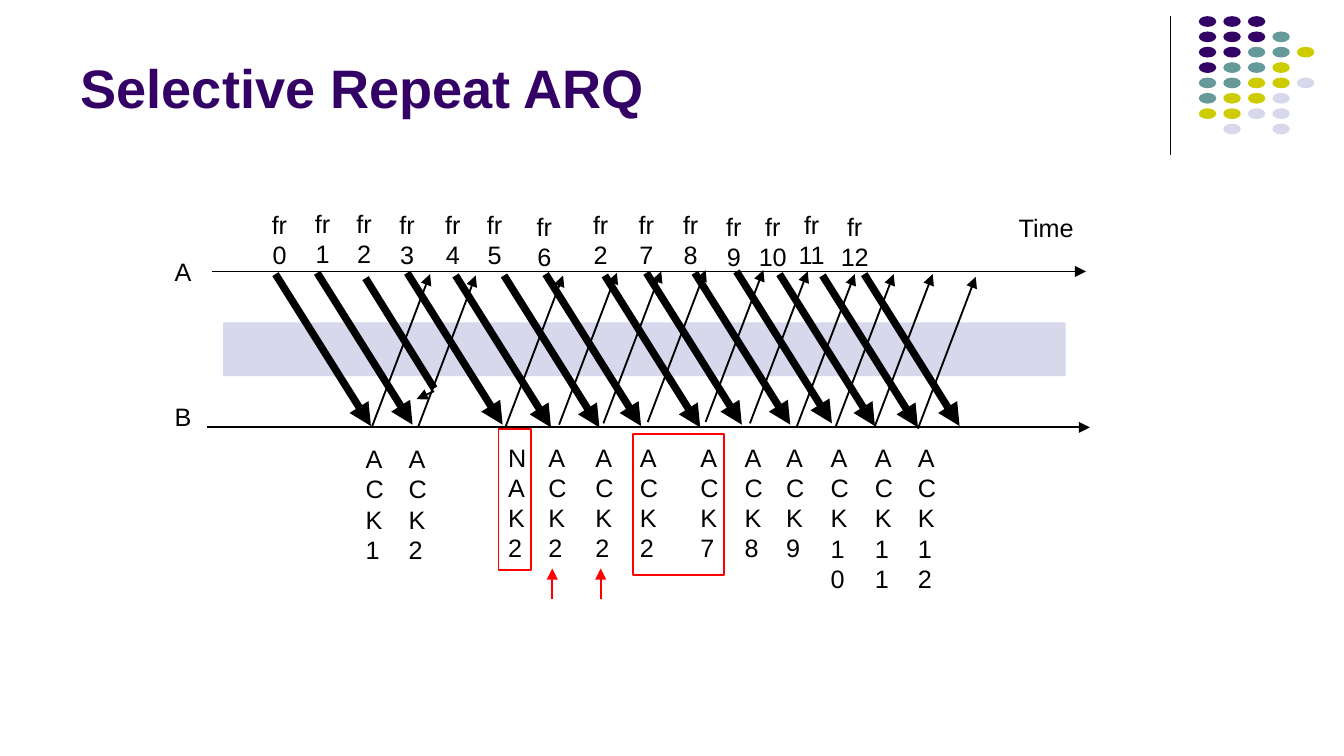
from dataclasses import dataclass
from typing import Any, NamedTuple

from lxml.etree import SubElement
from pptx import Presentation
from pptx.dml.color import RGBColor
from pptx.enum.shapes import MSO_CONNECTOR as Connector, MSO_SHAPE as Shape
from pptx.enum.text import MSO_ANCHOR as Anchor, PP_ALIGN as Align
from pptx.oxml.ns import qn
from pptx.util import Inches, Pt


@dataclass(frozen=True)
class Theme:
    font: str = "Arial"
    title_size: float = 29
    label_size: float = 13.5
    thin: float = 1
    thick: float = 4
    ink: str = "000000"
    purple: str = "330066"
    teal: str = "669999"
    yellow: str = "CCCC00"
    lavender: str = "D8D8EC"
    red: str = "FF0000"


class Point(NamedTuple):
    x: float
    y: float


class Area(NamedTuple):
    left: float
    top: float
    width: float
    height: float


class Frame(NamedTuple):
    number: int
    center: float
    top: float
    start: Point
    lost: bool = False


class Reply(NamedTuple):
    text: str
    left: float
    start: Point
    top: float = 3.25
    width: float = 0.18


THEME = Theme()
FRAME_STEP = Point(0.71, 1.13)
REPLY_STEP = Point(0.43, -1.13)
WIDE_INSETS = (0.11, 0.06)
NARROW_INSETS = (0.07, 0.04)

FRAMES = [
    Frame(0, 2.08, 1.5, Point(2.05, 2.04)),
    Frame(1, 2.4, 1.49, Point(2.36, 2.03)),
    Frame(2, 2.71, 1.49, Point(2.72, 2.07), lost=True),
    Frame(3, 3.03, 1.5, Point(3.03, 2.03)),
    Frame(4, 3.37, 1.5, Point(3.39, 2.05)),
    Frame(5, 3.68, 1.5, Point(3.75, 2.05)),
    Frame(6, 4.05, 1.51, Point(4.06, 2.04)),
    Frame(2, 4.47, 1.5, Point(4.5, 2.05)),
    Frame(7, 4.81, 1.5, Point(4.81, 2.03)),
    Frame(8, 5.14, 1.5, Point(5.17, 2.03)),
    Frame(9, 5.46, 1.51, Point(5.48, 2.02)),
    Frame(10, 5.75, 1.51, Point(5.8, 2.04)),
    Frame(11, 6.04, 1.5, Point(6.12, 2.05)),
    Frame(12, 6.36, 1.51, Point(6.43, 2.04)),
]
REPLIES = [
    Reply("ACK1", 2.65, Point(2.77, 3.17), top=3.26),
    Reply("ACK2", 2.97, Point(3.11, 3.18), top=3.26),
    Reply("NAK2", 3.71, Point(3.76, 3.18)),
    Reply("ACK2", 4.01, Point(4.16, 3.16)),
    Reply("ACK2", 4.36, Point(4.49, 3.15)),
    Reply("ACK2", 4.69, Point(4.82, 3.14)),
    Reply("ACK7", 5.14, Point(5.25, 3.14)),
    Reply("ACK8", 5.47, Point(5.58, 3.15)),
    Reply("ACK9", 5.78, Point(5.93, 3.17)),
    Reply("ACK10", 6.11, Point(6.22, 3.17), width=0.25),
    Reply("ACK11", 6.44, Point(6.51, 3.17)),
    Reply("ACK12", 6.76, Point(6.83, 3.19)),
]
DOT_ROWS = ["PPP", "PPPT", "PPTTY", "PTTY", "TTYYL", "TYYL", "YYLL", " L L"]
DOT_COLORS = {"P": THEME.purple, "T": THEME.teal, "Y": THEME.yellow, "L": THEME.lavender}


def apply_format(target: Any, values: dict[str, Any]) -> None:
    for name, value in values.items():
        setattr(target, name, value)


def format_font(font: Any, size: float, color: str, bold: bool = False) -> None:
    apply_format(font, {"name": THEME.font, "size": Pt(size), "bold": bold})
    font.color.rgb = RGBColor.from_string(color)


def shift(start: Point, step: Point) -> Point:
    return Point(start.x + step.x, start.y + step.y)


def add_line(page: Any, start: Point, end: Point, width: float = THEME.thin,
             color: str = THEME.ink, arrow: bool = True) -> None:
    line = page.shapes.add_connector(Connector.STRAIGHT, *map(Inches, (*start, *end)))
    line.line.width = Pt(width)
    line.line.color.rgb = RGBColor.from_string(color)
    if arrow:
        SubElement(line.line._get_or_add_ln(), qn("a:tailEnd"), type="triangle")
    SubElement(line._element.spPr, qn("a:effectLst"))


def add_shape(page: Any, kind: Shape, area: Area, fill: str = "", outline: str = "") -> None:
    """Draw a preset shape; an empty colour means no fill or no outline."""
    shape = page.shapes.add_shape(kind, *map(Inches, area))
    shape.shadow.inherit = False
    for paint, color in ((shape.fill, fill), (shape.line.fill, outline)):
        if color:
            paint.solid()
            paint.fore_color.rgb = RGBColor.from_string(color)
        else:
            paint.background()
    if outline:
        shape.line.width = Pt(THEME.thin)


def add_label(page: Any, area: Area, lines: list[str], align: Align = Align.LEFT,
              insets: tuple[float, float] = WIDE_INSETS) -> None:
    text_frame = page.shapes.add_textbox(*map(Inches, area)).text_frame
    side, edge = map(Inches, insets)
    apply_format(text_frame, {"word_wrap": True, "margin_left": side, "margin_right": side,
                              "margin_top": edge, "margin_bottom": edge})
    text_frame.text = "\n".join(lines)
    for para in text_frame.paragraphs:
        para.alignment = align
        format_font(para.font, THEME.label_size, THEME.ink)


def add_title(page: Any, text: str) -> None:
    title = page.shapes.title
    area = Area(0.5, 0.1, 8.25, 0.84)
    apply_format(title, dict(zip(("left", "top", "width", "height"), map(Inches, area))))
    title.text_frame.text = text
    title.text_frame.vertical_anchor = Anchor.BOTTOM
    para = title.text_frame.paragraphs[0]
    para.alignment = Align.LEFT
    format_font(para.font, THEME.title_size, THEME.purple, bold=True)


def add_corner_dots(page: Any) -> None:
    add_line(page, Point(8.71, 0.12), Point(8.71, 1.15), 0.75, arrow=False)
    for row, marks in enumerate(DOT_ROWS):
        for column, mark in enumerate(marks):
            if mark in DOT_COLORS:
                area = Area(8.92 + 0.73 * column / 4, 0.12 + 0.8 * row / 7, 0.13, 0.08)
                add_shape(page, Shape.OVAL, area, fill=DOT_COLORS[mark])


def add_frame(page: Any, frame: Frame) -> None:
    add_label(page, Area(frame.center - 0.28, frame.top, 0.56, 0.57),
              ["fr", str(frame.number)], Align.CENTER)
    if frame.lost:
        add_line(page, frame.start, Point(3.23, 2.89), THEME.thick, arrow=False)
        add_line(page, Point(3.23, 2.91), Point(3.1, 2.97))
    else:
        add_line(page, frame.start, shift(frame.start, FRAME_STEP), THEME.thick)


def add_reply(page: Any, reply: Reply) -> None:
    """Draw the returning arrow and its label, which wraps to one letter a line."""
    add_line(page, reply.start, shift(reply.start, REPLY_STEP))
    height = 0.98 if len(reply.text) == 4 else 1.21
    add_label(page, Area(reply.left, reply.top, reply.width, height),
              [reply.text], insets=NARROW_INSETS)


def main() -> None:
    deck = Presentation()
    deck.slide_width = Inches(10)
    deck.slide_height = deck.slide_width * 9 // 16
    page = deck.slides.add_slide(deck.slide_layouts[5])
    add_title(page, "Selective Repeat ARQ")
    add_corner_dots(page)

    add_shape(page, Shape.RECTANGLE, Area(1.66, 2.4, 6.27, 0.4), fill=THEME.lavender)
    add_line(page, Point(1.58, 2.02), Point(8.08, 2.02))
    add_line(page, Point(1.54, 3.18), Point(8.11, 3.18))
    add_label(page, Area(1.19, 1.85, 0.4, 0.34), ["A"])
    add_label(page, Area(1.19, 2.93, 0.4, 0.34), ["B"])
    add_label(page, Area(7.47, 1.52, 0.75, 0.34), ["Time"])

    for frame in FRAMES:
        add_frame(page, frame)
    for reply in REPLIES:
        add_reply(page, reply)
    for area in (Area(3.71, 3.19, 0.24, 1.05), Area(4.71, 3.23, 0.68, 1.05)):
        add_shape(page, Shape.RECTANGLE, area, outline=THEME.red)
    for x in (4.11, 4.47):
        add_line(page, Point(x, 4.46), Point(x, 4.23), color=THEME.red)
    deck.save("out.pptx")


if __name__ == "__main__":
    main()
